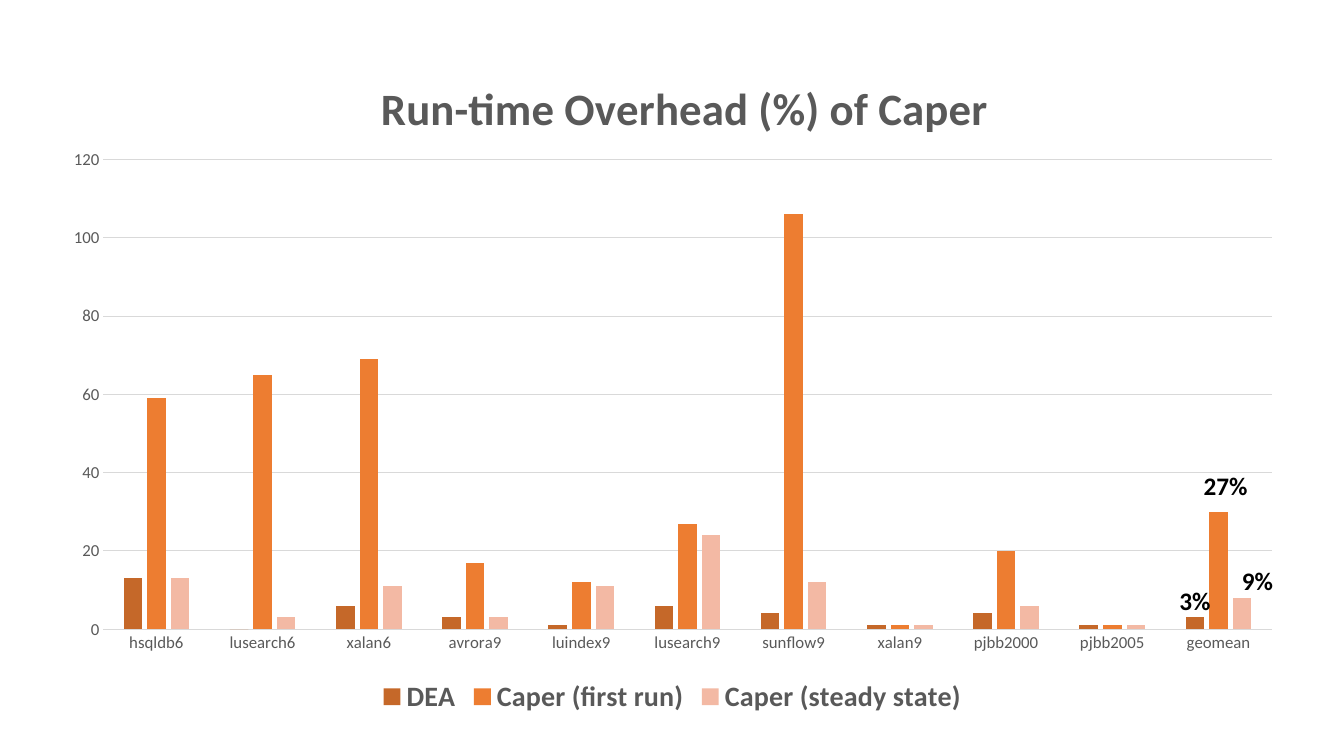
from lxml import etree
from pptx import Presentation
from pptx.chart.data import CategoryChartData as ChartData
from pptx.dml.color import RGBColor
from pptx.enum.chart import XL_CHART_TYPE as Kind, XL_LEGEND_POSITION as Side
from pptx.enum.chart import XL_TICK_MARK as Tick
from pptx.enum.text import MSO_AUTO_SIZE as Fit
from pptx.oxml.ns import qn
from pptx.util import Inches, Pt

# Content
TITLE = "Run-time Overhead (%) of Caper"
FONT = "Calibri"
GREY, PALE, BLACK = "595959", "D9D9D9", "000000"
CATS = ["hsqldb6", "lusearch6", "xalan6", "avrora9", "luindex9", "lusearch9",
        "sunflow9", "xalan9", "pjbb2000", "pjbb2005", "geomean"]
SERIES = [
    ("DEA", "C56829", [13, 0, 6, 3, 1, 6, 4, 1, 4, 1, 3]),
    ("Caper (first run)", "ED7D31", [59, 65, 69, 17, 12, 27, 106, 1, 20, 1, 30]),
    ("Caper (steady state)", "F3B9A4", [13, 3, 11, 3, 11, 24, 12, 1, 6, 1, 8]),
]
NOTES = [("27%", 11.84, 4.62), ("3%", 11.6, 5.76), ("9%", 12.22, 5.56)]
# Places inside the chart, as shares of its size
TITLE_AT = {"x": 0.26, "y": 0.05}
PLOT_AT = {"x": 0.044, "y": 0.183, "w": 0.936, "h": 0.685}


def rgb(code):
    return RGBColor.from_string(code)


def style(font, size, code, bold=False):
    font.name, font.size, font.bold = FONT, Pt(size), bold
    font.color.rgb = rgb(code)


def rule(line):
    line.color.rgb = rgb(PALE)
    line.width = Pt(0.75)


def place(part, shares, inner=False):
    """Set a manual layout on a chart part."""
    for old in part.findall(qn("c:layout")):
        part.remove(old)
    layout = etree.Element(qn("c:layout"))
    box = etree.SubElement(layout, qn("c:manualLayout"))
    items = [("layoutTarget", "inner")] if inner else []
    items += [("xMode", "edge"), ("yMode", "edge")] + list(shares.items())
    for tag, val in items:
        etree.SubElement(box, qn("c:" + tag)).set("val", str(val))
    text = part.find(qn("c:tx"))
    part.insert(0 if text is None else 1, layout)


deck = Presentation()
deck.slide_width, deck.slide_height = Inches(13.33), Inches(7.5)
slide = deck.slides.add_slide(deck.slide_layouts[6])

# Chart
data = ChartData()
data.categories = CATS
for name, code, vals in SERIES:
    data.add_series(name, vals)
chart = slide.shapes.add_chart(
    Kind.COLUMN_CLUSTERED, Inches(0.48), Inches(0.34),
    Inches(12.38), Inches(6.8), data).chart
style(chart.font, 10, BLACK)

# Title
chart.has_title = True
frame = chart.chart_title.text_frame
frame.text = TITLE
style(frame.paragraphs[0].runs[0].font, 32, GREY, True)
chart.chart_title.include_in_layout = False

# Columns
plot = chart.plots[0]
plot.gap_width, plot.overlap = 219, -27
plot.vary_by_categories = False
for bar, (name, code, vals) in zip(plot.series, SERIES):
    bar.format.fill.solid()
    bar.format.fill.fore_color.rgb = rgb(code)

# Axes
rows, cols = chart.value_axis, chart.category_axis
for axis in (rows, cols):
    axis.major_tick_mark = axis.minor_tick_mark = Tick.NONE
    style(axis.tick_labels.font, 12, GREY)
rows.minimum_scale, rows.maximum_scale, rows.major_unit = 0, 120, 20
rows.has_major_gridlines = True
rule(rows.major_gridlines.format.line)
rows.format.line.fill.background()
rule(cols.format.line)

# Legend
chart.has_legend = True
chart.legend.position = Side.BOTTOM
chart.legend.include_in_layout = False
style(chart.legend.font, 20, GREY, True)

area = chart.element.find(qn("c:chart"))
place(area.find(qn("c:title")), TITLE_AT)
place(area.find(qn("c:plotArea")), PLOT_AT, True)

# Labels over the geomean columns
for text, left, top in NOTES:
    box = slide.shapes.add_textbox(
        Inches(left), Inches(top), Inches(0.7), Inches(0.4))
    frame = box.text_frame
    frame.text = text
    frame.word_wrap = True
    frame.auto_size = Fit.SHAPE_TO_FIT_TEXT
    style(frame.paragraphs[0].runs[0].font, 18, BLACK, True)

deck.save("out.pptx")
